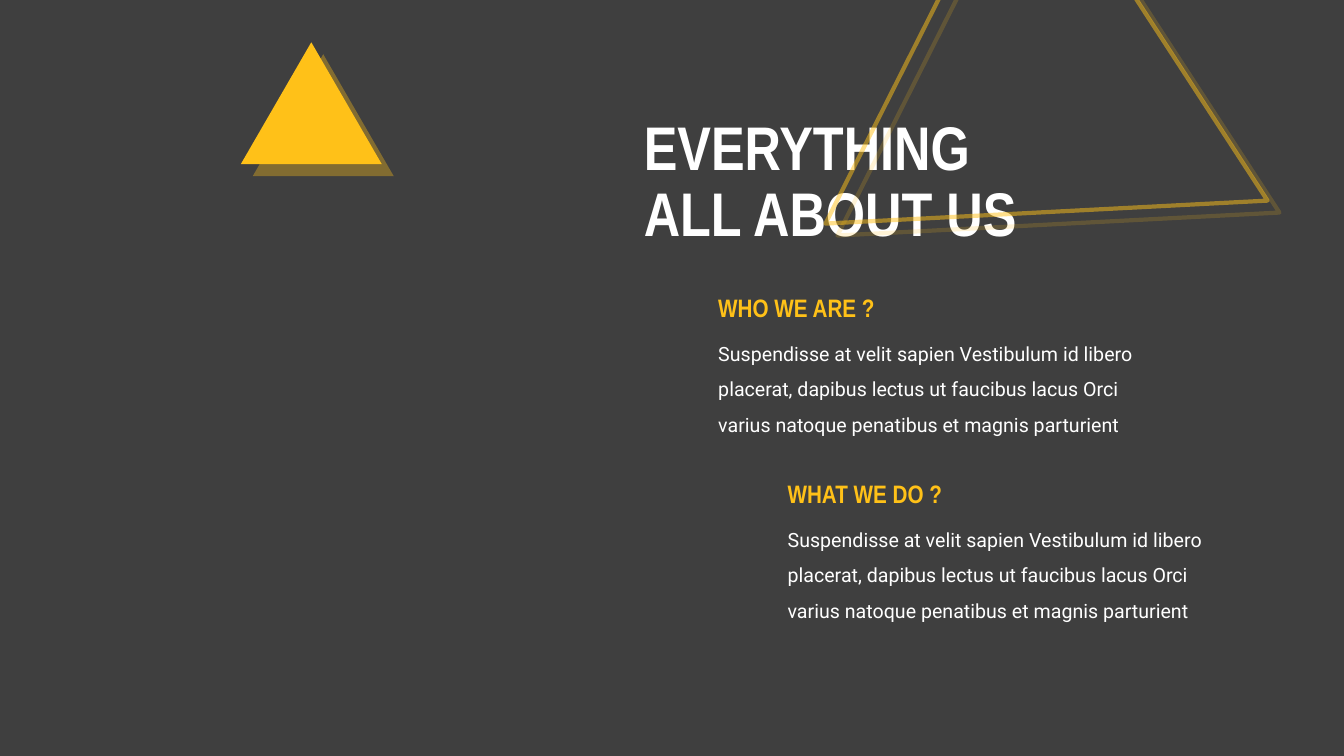
from lxml.etree import SubElement as Sub
from pptx import Presentation
from pptx.dml.color import RGBColor as Color
from pptx.enum.shapes import MSO_SHAPE as Shape
from pptx.enum.text import MSO_ANCHOR as Anchor, MSO_AUTO_SIZE as Size, PP_ALIGN as Align
from pptx.oxml.ns import qn
from pptx.util import Pt

HUES = {"dark": "3F3F3F", "gold": "FFC118", "white": "FFFFFF"}
STORY = ("Suspendisse at velit sapien Vestibulum id libero placerat, dapibus lectus "
         "ut faucibus lacus Orci varius natoque penatibus et magnis parturient")


def hue(name):
    """Return the named colour."""
    return Color.from_string(HUES[name])


def fade(tint, part):
    """Set the opacity of a colour element in percent."""
    Sub(tint, qn("a:alpha"), val=str(part * 1000))


def write(frame, text, font, size, color, bold=False, lead=1.0):
    """Fill a text frame with one left-aligned paragraph."""
    frame.word_wrap = True
    frame.auto_size = Size.NONE
    frame.text = text
    para = frame.paragraphs[0]
    para.alignment = Align.LEFT
    para.line_spacing = lead
    for run in para.runs:
        run.font.name = font
        run.font.size = Pt(size)
        run.font.bold = bold
        run.font.color.rgb = hue(color)


def label(slide, x, y, w, h, *args, **opts):
    """Add a text box."""
    box = slide.shapes.add_textbox(Pt(x), Pt(y), Pt(w), Pt(h))
    write(box.text_frame, *args, **opts)


def head(slide, x, y, w, h):
    """Place and write the slide title."""
    title = slide.shapes.title
    title.left, title.top, title.width, title.height = Pt(x), Pt(y), Pt(w), Pt(h)
    frame = title.text_frame
    write(frame, "EVERYTHING\vALL ABOUT US", "Arial Narrow", 44, "white",
          bold=True, lead=0.9)
    frame.vertical_anchor = Anchor.MIDDLE


def peak(slide, x, y, w, h, turn=0, solid=True):
    """Draw a gold triangle, solid or outlined, with a hard shadow."""
    tri = slide.shapes.add_shape(Shape.ISOSCELES_TRIANGLE, Pt(x), Pt(y), Pt(w), Pt(h))
    tri.rotation = turn
    if solid:
        tri.fill.solid()
        tri.fill.fore_color.rgb = hue("gold")
        tri.line.fill.background()
    else:
        tri.fill.background()
        tri.line.width = Pt(3)
        tri.line.color.rgb = hue("gold")
        fade(next(tri.line._ln.iter(qn("a:srgbClr"))), 50)
    tri.shadow.inherit = False
    glow = Sub(tri._element.spPr.find(qn("a:effectLst")), qn("a:outerShdw"),
               blurRad="0", dist=str(Pt(12.1)), dir=str(45 * 60000),
               algn="tl", rotWithShape="0")
    fade(Sub(glow, qn("a:srgbClr"), val=HUES["gold"]), 35)


def topic(slide, x, y, w, h, name):
    """Write a topic heading with its story below."""
    drop = 27
    label(slide, x, y + drop, w, h - drop, STORY, "Roboto", 14, "white", lead=1.5)
    label(slide, x, y, 176.4, 28.8, name, "Arial Narrow", 18, "gold", bold=True)


def about(deck):
    """Build the about-us slide."""
    slide = deck.slides.add_slide(deck.slide_layouts[5])
    slide.background.fill.solid()
    slide.background.fill.fore_color.rgb = hue("dark")
    head(slide, 452.9, 74.2, 404.6, 113.8)
    peak(slide, 545.8, -51.8, 317.5, 273.6, turn=236.9, solid=False)
    peak(slide, 172.1, 30.2, 100.8, 87.1)
    for i, name in enumerate(("WHO WE ARE ?", "WHAT WE DO ?")):
        topic(slide, 506.2 + 49.6 * i, 205.4 + 132.8 * i, 324.7, 109.8, name)


def main():
    """Create and save the deck."""
    deck = Presentation()
    deck.slide_width, deck.slide_height = Pt(960.48), Pt(540)
    about(deck)
    deck.save("out.pptx")


if __name__ == "__main__":
    main()
